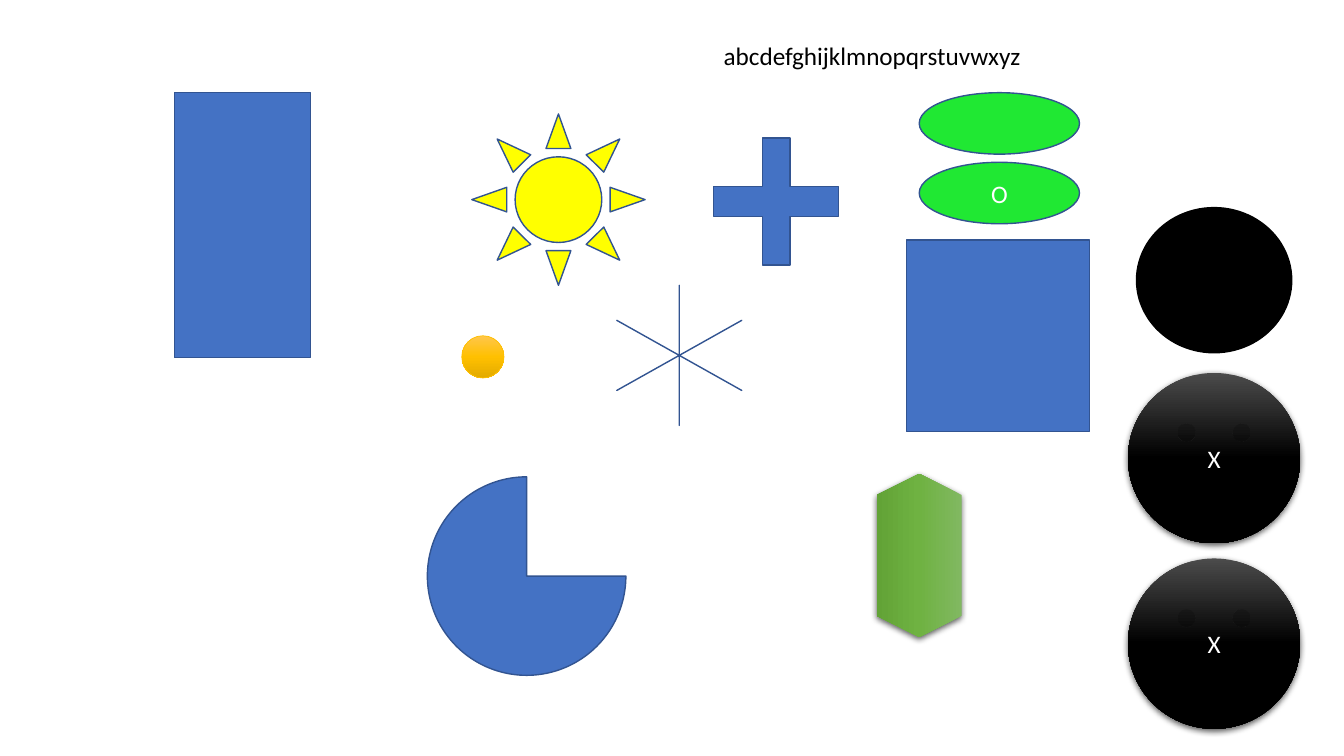
"""Build a slide of assorted geometric shapes, ovals and faces."""
import copy

import pptx
import pptx.dml.color
import pptx.enum.shapes
import pptx.enum.text
import pptx.oxml
import pptx.oxml.ns
import pptx.util

Pt = pptx.util.Pt
RGBColor = pptx.dml.color.RGBColor
SHAPE = pptx.enum.shapes.MSO_SHAPE

BLUE = RGBColor(0x44, 0x72, 0xC4)
OUTLINE = RGBColor(0x32, 0x54, 0x91)
YELLOW = RGBColor(0xFF, 0xFF, 0x00)
LIME = RGBColor(0x20, 0xE8, 0x33)
BLACK = RGBColor(0x00, 0x00, 0x00)
WHITE = RGBColor(0xFF, 0xFF, 0xFF)
GOLD = RGBColor(0xFF, 0xC0, 0x00)
GOLD_SHADES = (RGBColor(0xFF, 0xC6, 0x4B), GOLD, RGBColor(0xE3, 0xAB, 0x00))
GREEN_SHADES = (RGBColor(0x81, 0xB8, 0x61), RGBColor(0x6F, 0xB2, 0x42), RGBColor(0x62, 0xA3, 0x36))
BLACK_SHADES = (RGBColor(0x4B, 0x4B, 0x4B), BLACK, BLACK)

SHADOW_XML = (
    '<a:outerShdw %s blurRad="57150" dist="19050" dir="5400000" algn="ctr" rotWithShape="0">'
    '<a:srgbClr val="000000"><a:alpha val="63000"/></a:srgbClr></a:outerShdw>'
    % pptx.oxml.ns.nsdecls("a")
)


def style_text(text_frame, text, color):
    """Write text in 18 point Calibri."""
    text_frame.text = text
    font = text_frame.paragraphs[0].runs[0].font
    font.name, font.size = "Calibri", Pt(18)
    font.color.rgb = color


def add_shape(slide, kind, box, fill, line=OUTLINE, line_width=1, adjust=None, text=""):
    """Add a preset shape with a solid fill or a tuple of gradient shades."""
    shape = slide.shapes.add_shape(kind, *map(Pt, box))
    shape.shadow.inherit = False
    if adjust is not None:
        shape.adjustments[0] = adjust
    if isinstance(fill, RGBColor):
        shape.fill.solid()
        shape.fill.fore_color.rgb = fill
    else:
        fill_gradient(shape, fill)
    if line is None:
        shape.line.fill.background()
    else:
        shape.line.color.rgb = line
        shape.line.width = Pt(line_width)
    if text:
        style_text(shape.text_frame, text, WHITE)
        shape.text_frame.vertical_anchor = pptx.enum.text.MSO_ANCHOR.MIDDLE
        shape.text_frame.paragraphs[0].alignment = pptx.enum.text.PP_ALIGN.CENTER
    return shape


def fill_gradient(shape, shades):
    """Fill a shape from top to bottom with three evenly spaced shades."""
    shape.fill.gradient()
    shape.fill.gradient_angle = 270
    stop_list = shape.element.spPr.find(".//" + pptx.oxml.ns.qn("a:gsLst"))
    stop_list.insert(1, copy.deepcopy(stop_list[0]))
    for index, (stop, shade) in enumerate(zip(shape.fill.gradient_stops, shades)):
        stop.position = index / 2
        stop.color.rgb = shade


def add_shadow(shape):
    """Give a shape a soft shadow below it."""
    effects = shape.element.spPr.find(pptx.oxml.ns.qn("a:effectLst"))
    effects.append(pptx.oxml.parse_xml(SHADOW_XML))


def draw_symbols(slide, box):
    """Place the separate geometric symbols inside the box."""
    left, top = box[:2]
    symbols = (
        (SHAPE.SUN, (212.4, 15.2, 123.8, 122.4), YELLOW, None),
        (SHAPE.RECTANGLE, (522.7, 105.2, 131, 136.8), BLUE, None),
        (SHAPE.RECTANGLE, (0, 0, 97.2, 189.4), BLUE, None),
        (SHAPE.CROSS, (385.2, 32.4, 89.3, 90.7), BLUE, 0.39),
        (SHAPE.STAR_6_POINT, (316, 137.6, 89.3, 100.1), BLUE, 0),
        (SHAPE.TEAR, (180.7, 274.4, 141.8, 141.8), BLUE, 0),
    )
    for kind, (x, y, width, height), fill, adjust in symbols:
        add_shape(slide, kind, (left + x, top + y, width, height), fill, adjust=adjust)
    add_shape(slide, SHAPE.OVAL, (left + 205.2, top + 173.6, 30.2, 30.2), GOLD_SHADES, GOLD, 0.5)
    hexagon = add_shape(slide, SHAPE.HEXAGON, (left + 473.7, top + 300.3, 116.6, 60.5), GREEN_SHADES, None)
    hexagon.rotation = 90
    add_shadow(hexagon)


def draw_green_ovals(slide, box):
    """Stack two green ovals that span the box, the lower one labelled."""
    left, top, width, height = box
    oval_height = 43.9
    for index, label in enumerate(("", "O")):
        oval_top = top + index * (height - oval_height)
        add_shape(slide, SHAPE.OVAL, (left, oval_top, width, oval_height), LIME, text=label)


def draw_faces(slide, box):
    """Place a black oval at the top of the box and two faces below it."""
    left, top, width, height = box
    face_height, pitch, oval_width = 121.7, 132.5, 110.9
    oval_left = left + (width - oval_width) / 2
    add_shape(slide, SHAPE.OVAL, (oval_left, top, oval_width, 103.7), BLACK, BLACK)
    for index in range(2):
        face_top = top + height - face_height - (1 - index) * pitch
        face = add_shape(slide, SHAPE.SMILEY_FACE, (left, face_top, width, face_height),
                         BLACK_SHADES, None, adjust=-0.0465, text="X")
        add_shadow(face)


def draw_alphabet(slide, box):
    """Write the alphabet on one line in the box."""
    text_frame = slide.shapes.add_textbox(*map(Pt, box)).text_frame
    text_frame.word_wrap = False
    text_frame.auto_size = pptx.enum.text.MSO_AUTO_SIZE.SHAPE_TO_FIT_TEXT
    style_text(text_frame, "abcdefghijklmnopqrstuvwxyz", BLACK)


def main():
    """Build and save the presentation."""
    presentation = pptx.Presentation()
    presentation.slide_width, presentation.slide_height = Pt(960), Pt(540)
    slide = presentation.slides.add_slide(presentation.slide_layouts[6])
    draw_symbols(slide, (124.6, 66.2, 653.7, 416.2))
    draw_green_ovals(slide, (656.6, 66.2, 114.5, 93.6))
    draw_faces(slide, (805.7, 148.3, 123.1, 372.3))
    draw_alphabet(slide, (509.8, 25.2, 229, 28.8))
    presentation.save("out.pptx")


main()
